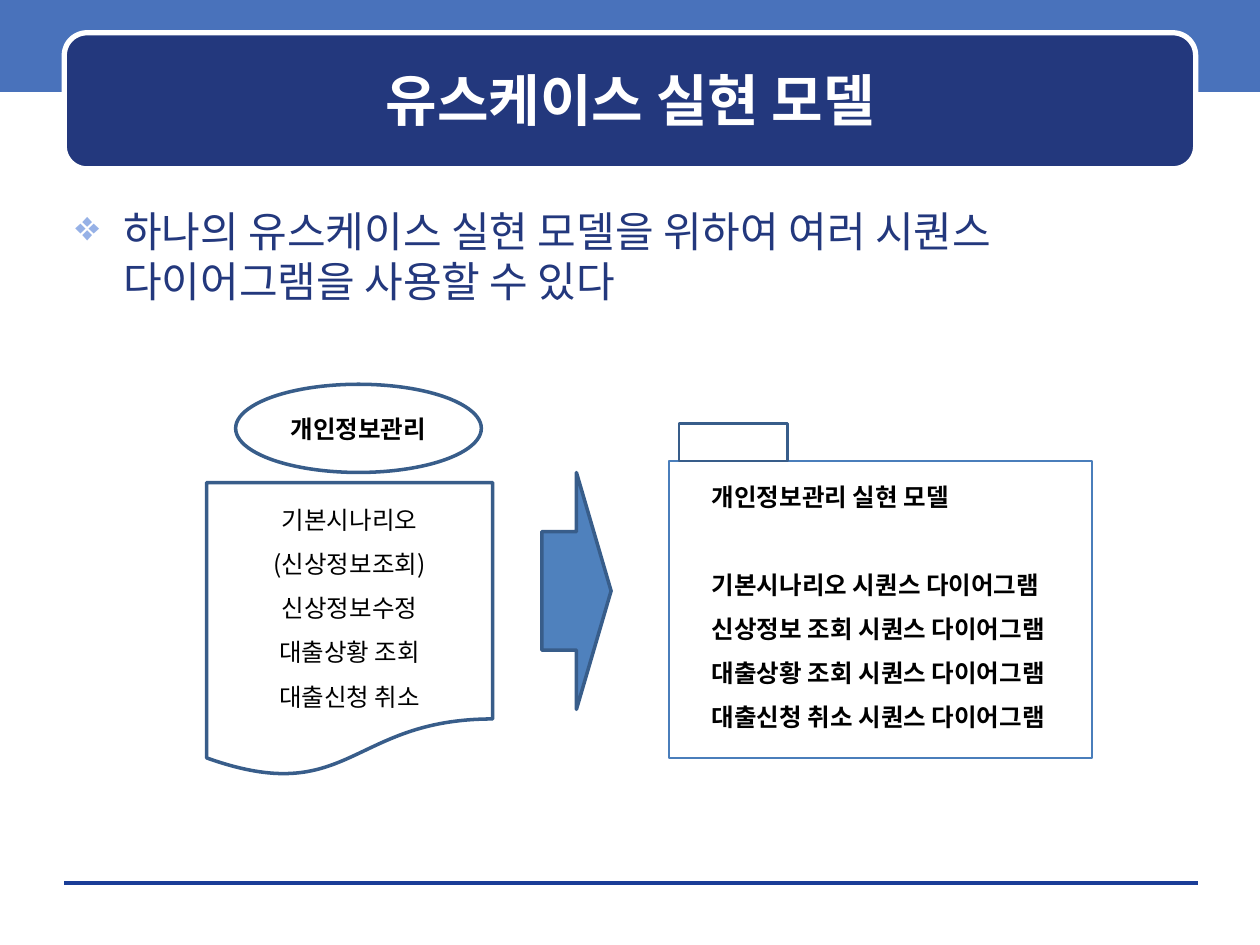
from lxml import etree
from pptx import Presentation
from pptx.dml.color import RGBColor
from pptx.enum.shapes import MSO_CONNECTOR, MSO_SHAPE
from pptx.enum.text import MSO_ANCHOR, PP_ALIGN
from pptx.oxml.ns import qn
from pptx.util import Emu, Inches, Pt

RECT, ROUNDED = MSO_SHAPE.RECTANGLE, MSO_SHAPE.ROUNDED_RECTANGLE
OVAL, DOCUMENT = MSO_SHAPE.OVAL, MSO_SHAPE.FLOWCHART_DOCUMENT
ARROW = MSO_SHAPE.RIGHT_ARROW
STRAIGHT = MSO_CONNECTOR.STRAIGHT
LEFT, CENTER = PP_ALIGN.LEFT, PP_ALIGN.CENTER
TOP, MIDDLE = MSO_ANCHOR.TOP, MSO_ANCHOR.MIDDLE

COLUMNS, ROWS = 100, 75
CELL = Inches(0.1)
FONT = "Noto Sans CJK KR"
NAVY, SKY, BULLET = "23387D", "4972BB", "96B1E6"
OUTLINE, BLUE, FRAME = "385D8A", "4F81BD", "4A7EBB"
WHITE, BLACK, RULE = "FFFFFF", "000000", "1A3D97"


def rgb(value):
    return RGBColor.from_string(value)


def grid(*cells):
    """Turn counts of grid columns and rows into lengths."""
    return [Emu(round(count * CELL)) for count in cells]


def add_figure(slide, kind, cells, fill=None, line=None, width=2):
    figure = slide.shapes.add_shape(kind, *grid(*cells))
    figure.shadow.inherit = False
    if fill:
        figure.fill.solid()
        figure.fill.fore_color.rgb = rgb(fill)
    else:
        figure.fill.background()
    if line:
        figure.line.color.rgb = rgb(line)
        figure.line.width = Pt(width)
    else:
        figure.line.fill.background()
    return figure


def add_rule(slide, cells, color):
    rule = slide.shapes.add_connector(STRAIGHT, *grid(*cells))
    rule.line.color.rgb = rgb(color)
    rule.line.width = Pt(0)
    etree.SubElement(rule._element.spPr, qn("a:effectLst"))


def add_bullet(paragraph, mark, color, indent):
    properties = paragraph._p.get_or_add_pPr()
    properties.set("marL", str(indent))
    properties.set("indent", str(-indent))
    bullet_color = etree.SubElement(properties, qn("a:buClr"))
    etree.SubElement(bullet_color, qn("a:srgbClr"), val=color)
    etree.SubElement(properties, qn("a:buChar"), char=mark)


def write(holder, lines, size, color=BLACK, bold=False, align=CENTER,
          anchor=MIDDLE, spacing=1.0, sides=(1, 1), bullet=None):
    frame = holder.text_frame
    left, right, edge = grid(*sides, 0.5)
    layout = {"word_wrap": True, "vertical_anchor": anchor,
              "margin_left": left, "margin_right": right,
              "margin_top": edge, "margin_bottom": edge}
    for name, value in layout.items():
        setattr(frame, name, value)
    frame.text = "\n".join(lines)
    for paragraph in frame.paragraphs:
        paragraph.alignment = align
        paragraph.line_spacing = spacing
        if bullet:
            add_bullet(paragraph, *bullet)
        font = paragraph.runs[0].font
        for name, value in {"name": FONT, "size": Pt(size), "bold": bold}.items():
            setattr(font, name, value)
        font.color.rgb = rgb(color)
        etree.SubElement(font._element, qn("a:ea"), typeface=FONT)
    return frame


def add_header(slide, title):
    add_figure(slide, RECT, (0, -0.3, COLUMNS, 7.6), fill=SKY)
    add_rule(slide, (5.1, 70.1, 95.1, 70.1), RULE)
    add_figure(slide, ROUNDED, (5.1, 2.6, 89.8, 10.8), NAVY, WHITE, 3)
    box = slide.shapes.add_textbox(*grid(6, 3.5, 88.1, 8.8))
    write(box, [title], 32, WHITE, bold=True)


def add_statement(slide, statement):
    box = slide.shapes.add_textbox(*grid(5, 15.8, 90, 53.3))
    write(box, [statement], 24, NAVY, align=LEFT, anchor=TOP,
          bullet=("❖", BULLET, Inches(0.38)))


def add_use_case(slide, name, scenarios):
    use_case = add_figure(slide, OVAL, (18.7, 30.5, 19.5, 7), line=OUTLINE)
    write(use_case, [name], 14, bold=True)
    document = add_figure(slide, DOCUMENT, (16.4, 38.3, 22.7, 23.4), line=OUTLINE)
    write(document, scenarios, 14, spacing=1.5, sides=(0, 0))


def add_package(slide, name, diagrams):
    package = add_figure(slide, RECT, (53.1, 36.6, 33.6, 23.6),
                         line=FRAME, width=1.25)
    frame = write(package, [name, *diagrams], 14, bold=True, align=LEFT,
                  anchor=TOP, spacing=1.5, sides=(3.4, 1))
    # One line of space between the name and the diagrams
    frame.paragraphs[1].space_before = Pt(25)
    add_figure(slide, RECT, (53.9, 33.6, 8.6, 3), line=OUTLINE, width=1.5)


def main():
    deck = Presentation()
    deck.slide_width, deck.slide_height = grid(COLUMNS, ROWS)
    slide = deck.slides.add_slide(deck.slide_layouts[6])

    # Title and statement
    add_header(slide, "유스케이스 실현 모델")
    add_statement(slide, "하나의 유스케이스 실현 모델을 위하여 여러 시퀀스 "
                         "다이어그램을 사용할 수 있다")

    # Use case with its scenarios, realised by a package of diagrams
    add_use_case(slide, "개인정보관리",
                 ["기본시나리오", "(신상정보조회)", "신상정보수정",
                  "대출상황 조회", "대출신청 취소"])
    add_figure(slide, ARROW, (43, 37.5, 5.5, 18.8), BLUE, OUTLINE)
    subjects = ["기본시나리오", "신상정보 조회", "대출상황 조회", "대출신청 취소"]
    add_package(slide, "개인정보관리 실현 모델",
                [f"{subject} 시퀀스 다이어그램" for subject in subjects])

    deck.save("out.pptx")


if __name__ == "__main__":
    main()
